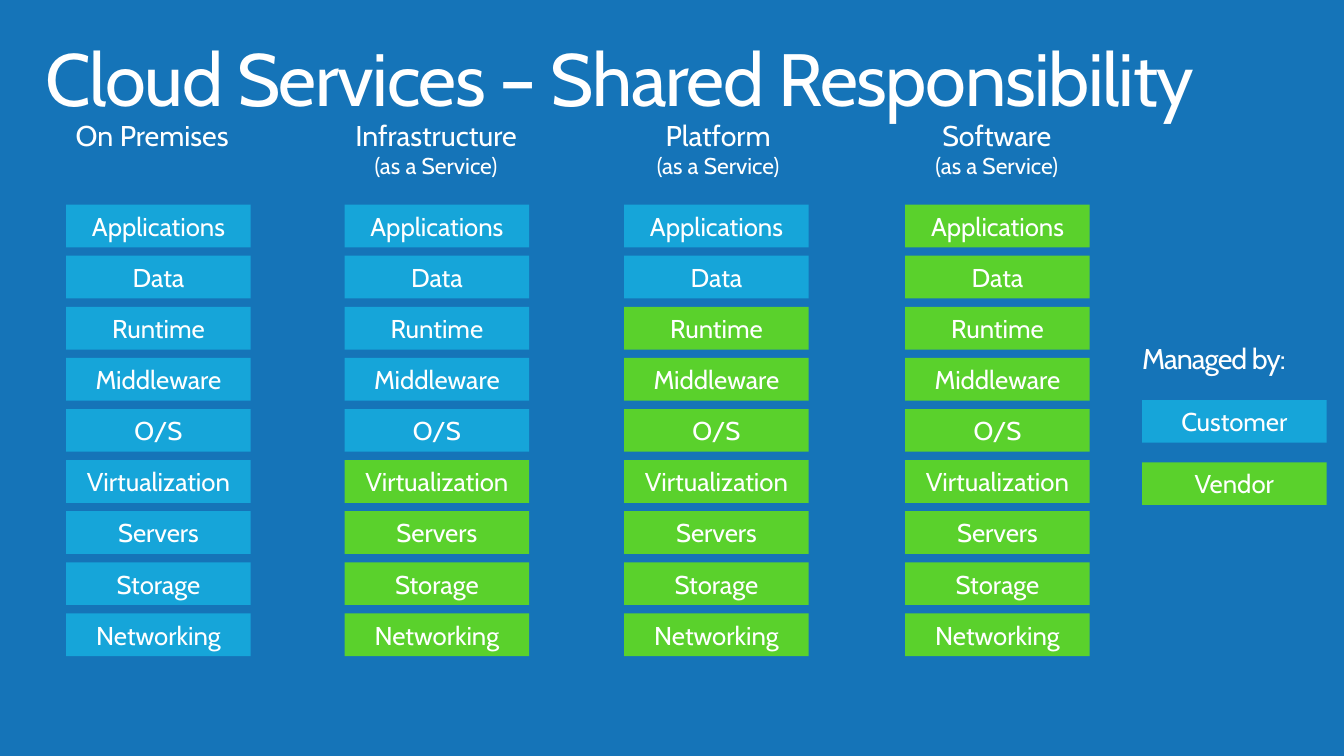
from pptx import Presentation
from pptx.dml.color import RGBColor
from pptx.enum.shapes import MSO_SHAPE
from pptx.enum.text import MSO_ANCHOR, MSO_AUTO_SIZE, PP_ALIGN
from pptx.util import Pt

FONT = "Cabin"
BACKGROUND, WHITE = "1574B8", "FFFFFF"
CUSTOMER, VENDOR = "16A5D9", "5AD12C"

LAYERS = ["Applications", "Data", "Runtime", "Middleware", "O/S",
          "Virtualization", "Servers", "Storage", "Networking"]
LAYER_WIDTH, LAYER_HEIGHT = 131.8, 30.5
FIRST_LAYER_TOP, LAYER_STEP = 146.2, 36.5
HEADING_TOP, HEADING_HEIGHT = 84.2, 51.1
LEGEND_LEFT = 815.8

# Name, subtitle, heading left and width, layer left, layers run by the customer
SERVICES = [
    ("On Premises", None, 33.8, 149.8, 47.3, 9),
    ("Infrastructure", "(as a Service)", 207.4, 208.1, 246.2, 5),
    ("Platform", "(as a Service)", 432.7, 160.6, 445.9, 2),
    ("Software", "(as a Service)", 630.7, 162.7, 646.6, 0),
]


def color(hex_value):
    return RGBColor.from_string(hex_value)


def paint(fill, hex_value):
    fill.solid()
    fill.fore_color.rgb = color(hex_value)


def add_run(paragraph, text, size, spacing=None):
    run = paragraph.add_run()
    run.text = text
    run.font.name = FONT
    run.font.size = Pt(size)
    run.font.color.rgb = color(WHITE)
    if spacing is not None:
        run.font._element.set("spc", str(round(spacing * 100)))


def set_frame(frame, side, edge, anchor=MSO_ANCHOR.TOP):
    frame.word_wrap = True
    frame.auto_size = MSO_AUTO_SIZE.NONE
    frame.vertical_anchor = anchor
    frame.margin_left = frame.margin_right = Pt(side)
    frame.margin_top = frame.margin_bottom = Pt(edge)


def add_title(slide, text):
    title = slide.shapes.title
    title.left, title.top = Pt(20.9), Pt(23)
    title.width, title.height = Pt(908.6), Pt(70.6)
    set_frame(title.text_frame, 11.5, 7.2)
    paragraph = title.text_frame.paragraphs[0]
    paragraph.alignment = PP_ALIGN.LEFT
    paragraph.line_spacing = 0.9
    add_run(paragraph, text, 52.9, -1)


def add_label(shapes, left, top, width, height, side=0):
    label = shapes.add_textbox(Pt(left), Pt(top), Pt(width), Pt(height))
    set_frame(label.text_frame, side, 0)
    return label.text_frame


def add_layer(shapes, text, left, top, manager):
    layer = shapes.add_shape(MSO_SHAPE.RECTANGLE, Pt(left), Pt(top),
                             Pt(LAYER_WIDTH), Pt(LAYER_HEIGHT))
    layer.shadow.inherit = False
    paint(layer.fill, manager)
    layer.line.fill.background()
    set_frame(layer.text_frame, 0, 3.6, MSO_ANCHOR.MIDDLE)
    paragraph = layer.text_frame.paragraphs[0]
    paragraph.alignment = PP_ALIGN.CENTER
    add_run(paragraph, text, 18.4)


def add_service(slide, name, subtitle, heading_left, heading_width, left, customer_count):
    shapes = slide.shapes.add_group_shape().shapes
    heading = add_label(shapes, heading_left, HEADING_TOP, heading_width,
                        HEADING_HEIGHT, side=7.2)
    name_line = heading.paragraphs[0]
    name_line.alignment = PP_ALIGN.CENTER
    add_run(name_line, name, 20.4)
    if subtitle:
        subtitle_line = heading.add_paragraph()
        subtitle_line.alignment = PP_ALIGN.CENTER
        add_run(subtitle_line, subtitle, 16.3)
    for index, layer in enumerate(LAYERS):
        manager = CUSTOMER if index < customer_count else VENDOR
        add_layer(shapes, layer, left, FIRST_LAYER_TOP + index * LAYER_STEP, manager)


def add_legend(slide):
    caption = add_label(slide.shapes, LEGEND_LEFT, 243.4, 130.3, 25.2)
    add_run(caption.paragraphs[0], "Managed by:", 20.4, -0.7)
    add_layer(slide.shapes, "Customer", LEGEND_LEFT, 285.8, CUSTOMER)
    add_layer(slide.shapes, "Vendor", LEGEND_LEFT, 330.2, VENDOR)


def main():
    presentation = Presentation()
    presentation.slide_width, presentation.slide_height = Pt(960), Pt(540)
    slide = presentation.slides.add_slide(presentation.slide_layouts[5])
    paint(slide.background.fill, BACKGROUND)

    add_title(slide, "Cloud Services – Shared Responsibility")
    # One column for each service model
    for service in SERVICES:
        add_service(slide, *service)
    add_legend(slide)

    presentation.save("out.pptx")


if __name__ == "__main__":
    main()
